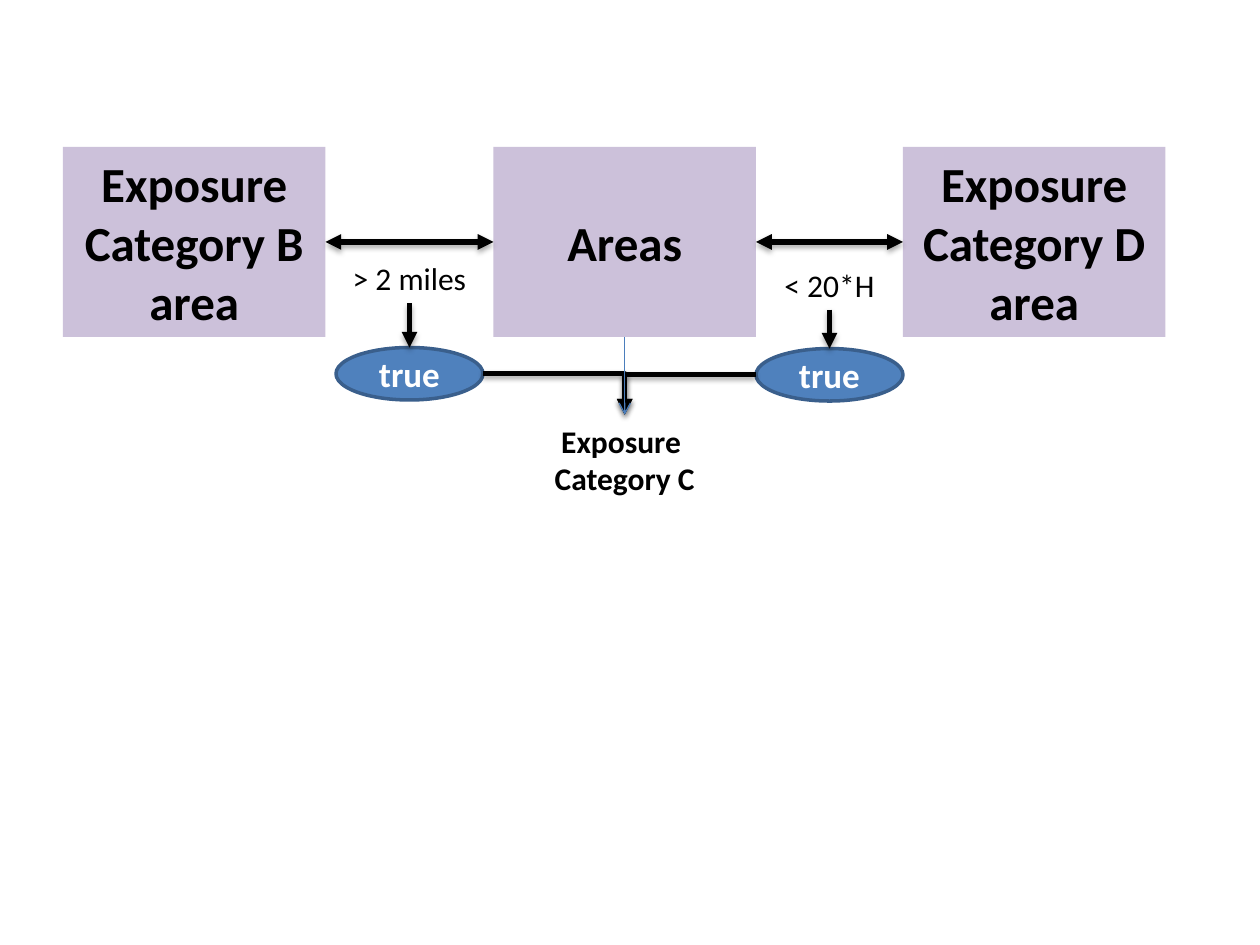
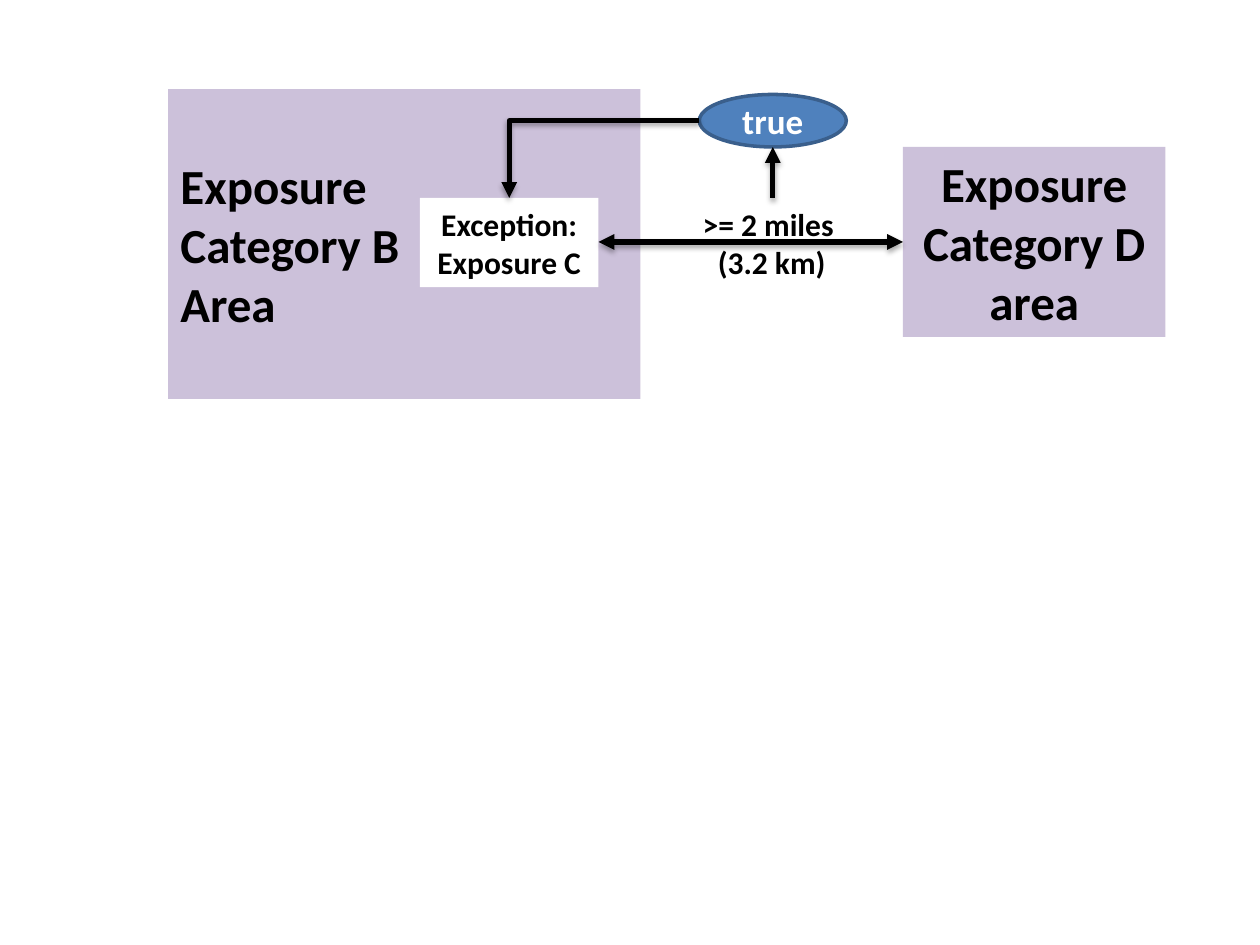
"""Exposure category diagrams on a grid of 120 columns by 90 rows."""
from lxml import etree
from pptx import Presentation
from pptx.dml.color import RGBColor
from pptx.enum.shapes import MSO_CONNECTOR, MSO_SHAPE
from pptx.enum.text import MSO_ANCHOR, PP_ALIGN
from pptx.oxml.ns import qn
from pptx.util import Inches, Pt

RECT, OVAL = MSO_SHAPE.RECTANGLE, MSO_SHAPE.OVAL
STRAIGHT, ELBOW = MSO_CONNECTOR.STRAIGHT, MSO_CONNECTOR.ELBOW
LEFT, CENTER = PP_ALIGN.LEFT, PP_ALIGN.CENTER
MIDDLE = MSO_ANCHOR.MIDDLE

LILAC = RGBColor(0xCC, 0xC1, 0xDA)
BLUE = RGBColor(0x4F, 0x81, 0xBD)
NAVY = RGBColor(0x3A, 0x5F, 0x8C)
THIN_BLUE = RGBColor(0x4B, 0x7E, 0xBC)
BLACK = RGBColor(0, 0, 0)
WHITE = RGBColor(0xFF, 0xFF, 0xFF)

COLS, ROWS = 120, 90
BOX_TOP, BOX_W, BOX_H = 14, 25, 18.1
BOX_MID, BOX_END = BOX_TOP + BOX_H / 2, BOX_TOP + BOX_H
OVAL_W, OVAL_H = 14, 5
NOTE_H = 8.5
CATEGORY_D_COL = 86


class Diagram:
    """Holds the deck, its style and the current slide."""

    def __init__(self):
        self.prs = Presentation()
        self.prs.slide_width, self.prs.slide_height = Inches(10), Inches(7.5)

    def slide(self):
        self.s = self.prs.slides.add_slide(self.prs.slide_layouts[6])

    def grid(self, *values):
        units = self.prs.slide_width / COLS, self.prs.slide_height / ROWS
        return [round(v * units[i % 2]) for i, v in enumerate(values)]

    def set_text(self, sp, lines, size, color=BLACK, bold=True, align=CENTER):
        tf = sp.text_frame
        tf.word_wrap, tf.vertical_anchor = True, MIDDLE
        font = {"name": "Calibri", "size": Pt(size), "bold": bold}
        for i, line in enumerate(lines):
            p = tf.paragraphs[0] if i == 0 else tf.add_paragraph()
            p.alignment = align
            r = p.add_run()
            r.text = line
            for key, value in font.items():
                setattr(r.font, key, value)
            r.font.color.rgb = color

    def shape(self, kind, at, fill, outline=None):
        sp = self.s.shapes.add_shape(kind, *self.grid(*at))
        sp.shadow.inherit = False
        sp.fill.solid()
        sp.fill.fore_color.rgb = fill
        if outline is None:
            sp.line.fill.background()
        else:
            sp.line.color.rgb, sp.line.width = outline, Pt(2)
        return sp

    def area(self, col, lines, top=BOX_TOP, width=BOX_W, height=BOX_H, align=CENTER):
        sp = self.shape(RECT, (col, top, width, height), LILAC)
        self.set_text(sp, lines, 28, align=align)

    def true_oval(self, col, row):
        sp = self.shape(OVAL, (col, row, OVAL_W, OVAL_H), BLUE, NAVY)
        self.set_text(sp, ["true"], 20, WHITE)

    def label(self, at, lines, bold=True):
        sp = self.s.shapes.add_textbox(*self.grid(*at))
        self.set_text(sp, lines, 18, bold=bold)

    def arrow(self, *ends, kind=STRAIGHT, double=False, thin=False):
        c = self.s.shapes.add_connector(kind, *self.grid(*ends))
        c.line.color.rgb = THIN_BLUE if thin else BLACK
        c.line.width = Pt(0.75 if thin else 3)
        spPr = c._element.spPr
        if kind == ELBOW:
            spPr.find(qn("a:prstGeom")).set("prst", "bentConnector2")
        ln = spPr.find(qn("a:ln"))
        for tag in ("a:headEnd", "a:tailEnd") if double else ("a:tailEnd",):
            etree.SubElement(ln, qn(tag), type="arrow" if thin else "triangle")
        effects = etree.SubElement(spPr, qn("a:effectLst"))
        if not thin:
            shadow = etree.SubElement(
                effects, qn("a:outerShdw"), blurRad=str(Pt(3.1)), dist=str(Pt(1.8)),
                dir="5400000", rotWithShape="0")
            color = etree.SubElement(shadow, qn("a:srgbClr"), val=str(BLACK))
            etree.SubElement(color, qn("a:alpha"), val="35000")


def category_c_slide(d):
    """Areas far from category B and close to category D."""
    d.slide()
    areas_col, center, result_row = 47, 59.5, 39.5
    d.area(6, ["Exposure Category B", "area"])
    d.area(CATEGORY_D_COL, ["Exposure Category D", "area"])
    d.area(areas_col, ["Areas"])
    tests = [
        ("> 2 miles", 6 + BOX_W, areas_col, 32, 24.1, 33.1, 46),
        ("< 20*H", areas_col + BOX_W, CATEGORY_D_COL, 72, 24.7, 33.2, 72),
    ]
    for text, start, end, oval_col, text_row, oval_row, exit_col in tests:
        middle = oval_col + OVAL_W / 2
        d.arrow(start, BOX_MID, end, BOX_MID, double=True)
        d.label((middle - 7.3, text_row, 14.6, 4.8), [text], bold=False)
        d.true_oval(oval_col, oval_row)
        d.arrow(middle, text_row + 4.8, middle, oval_row)
        d.arrow(exit_col, oval_row + OVAL_H / 2, center, result_row, kind=ELBOW)
    d.label((45, result_row, 29, NOTE_H), ["Exposure ", "Category C"])
    d.arrow(center, BOX_END, center, result_row, thin=True)


def exception_slide(d):
    """Exception inside category B, measured against category D."""
    d.slide()
    note_row, oval_col, oval_row = 18.85, 66.6, 9
    middle = oval_col + OVAL_W / 2
    d.area(16, ["Exposure", "Category B", "Area"], 8.5, 45, 29.5, LEFT)
    d.area(CATEGORY_D_COL, ["Exposure Category D", "area"])
    sp = d.shape(RECT, (40, note_row, 17, NOTE_H), WHITE)
    d.set_text(sp, ["Exception:", "Exposure C"], 18)
    d.arrow(57, BOX_MID, CATEGORY_D_COL, BOX_MID, double=True)
    d.label((61, note_row, BOX_W, NOTE_H), [">= 2 miles ", "(3.2 km)"])
    d.true_oval(oval_col, oval_row)
    d.arrow(oval_col, oval_row + OVAL_H / 2, 48.5, note_row, kind=ELBOW)
    d.arrow(middle, note_row, middle, oval_row + OVAL_H)


def main():
    d = Diagram()
    category_c_slide(d)
    exception_slide(d)
    d.prs.save("out.pptx")


if __name__ == "__main__":
    main()
